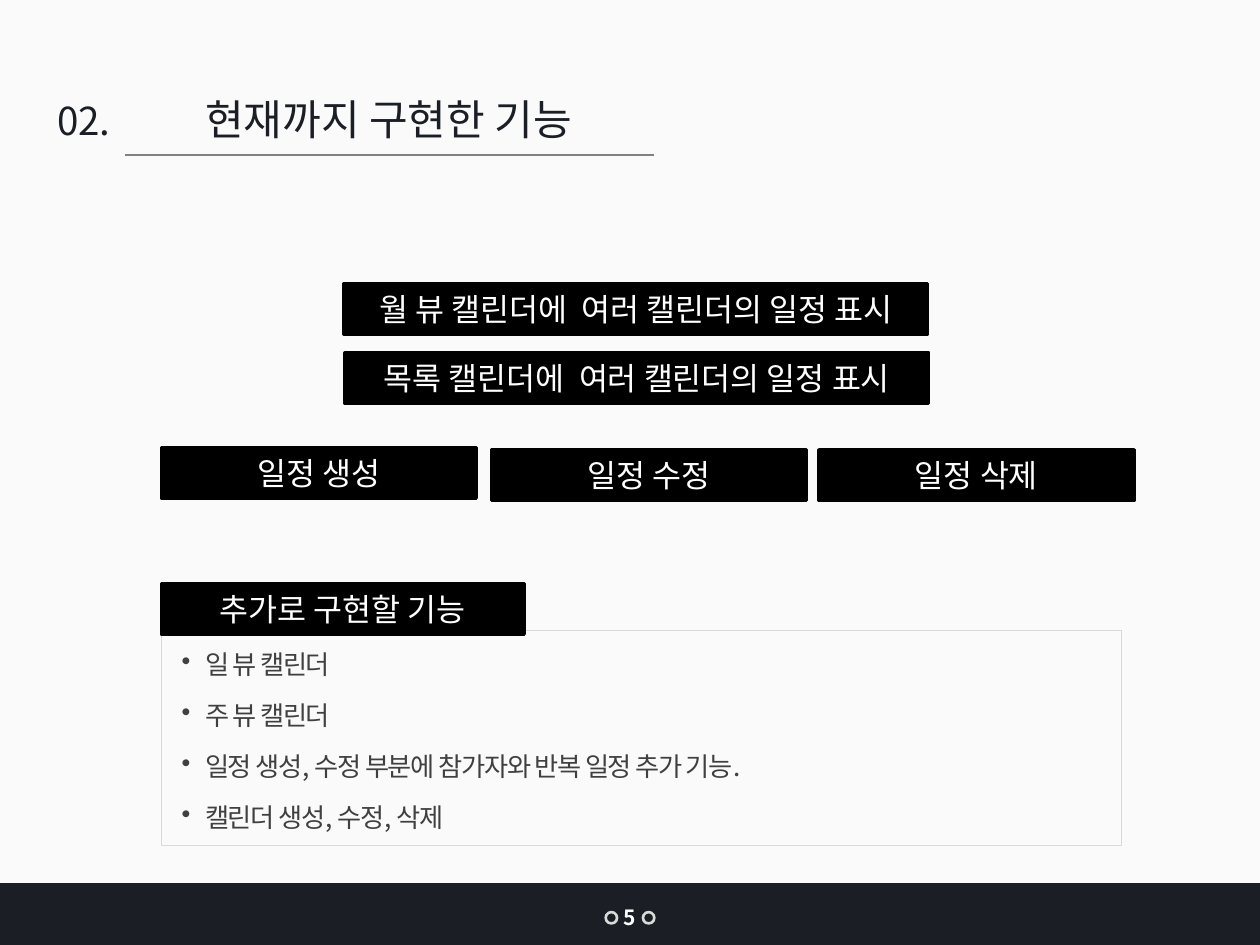
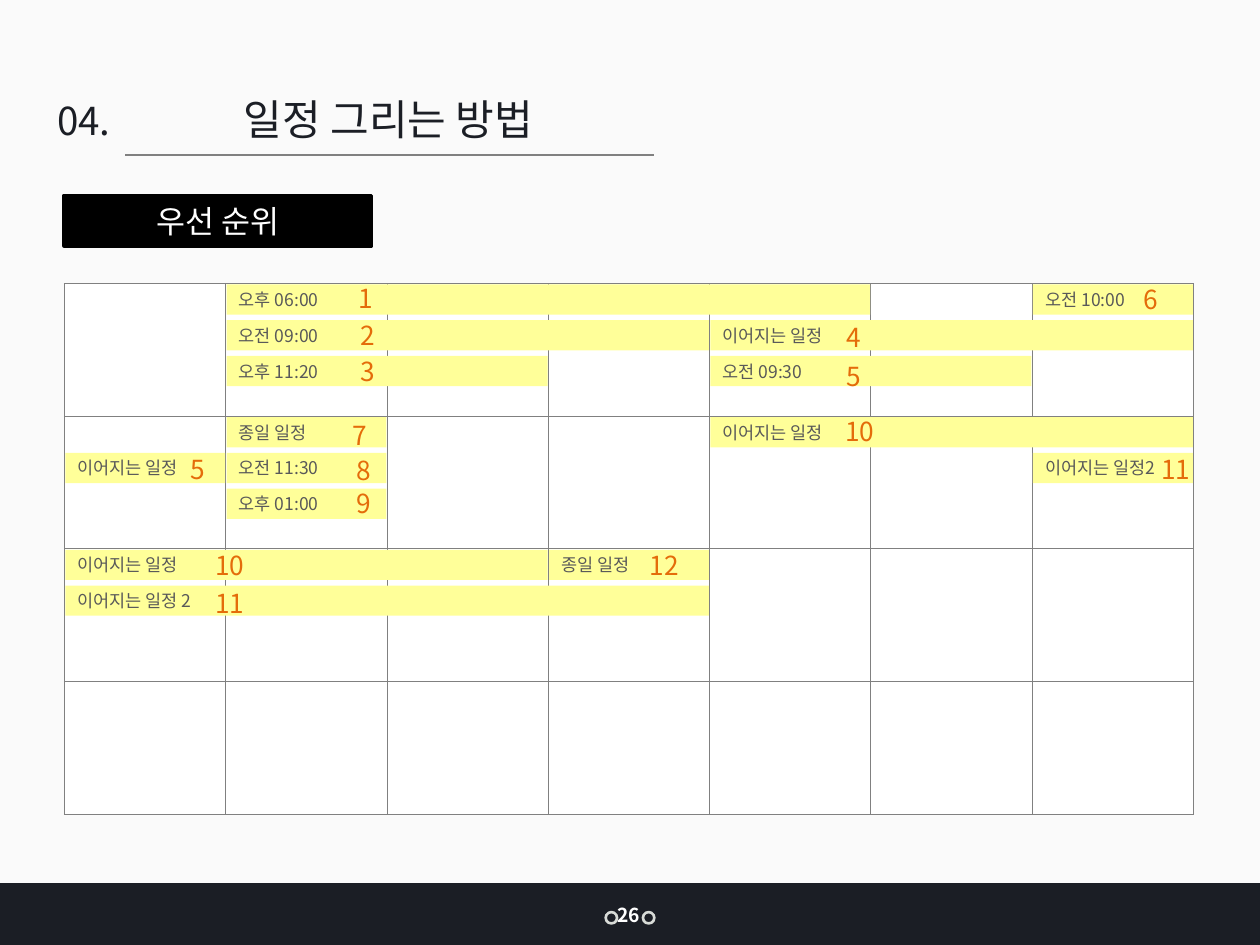
import pptx
import pptx.util
import pptx.dml.color
import pptx.enum.shapes
import pptx.enum.text
import pptx.oxml
import pptx.oxml.ns
import lxml.etree

Pt = pptx.util.Pt
RGBColor = pptx.dml.color.RGBColor
MSO_SHAPE = pptx.enum.shapes.MSO_SHAPE
PP_ALIGN = pptx.enum.text.PP_ALIGN
MSO_ANCHOR = pptx.enum.text.MSO_ANCHOR
qn = pptx.oxml.ns.qn

FONT = "Noto Sans CJK KR"
PAPER = RGBColor(0xFA, 0xFA, 0xFA)
NAVY = RGBColor(0x1B, 0x1E, 0x25)
BLACK = RGBColor(0, 0, 0)
WHITE = RGBColor(0xFF, 0xFF, 0xFF)
RING = RGBColor(0xD8, 0xDB, 0xD7)
RULE = RGBColor(0x80, 0x80, 0x80)
FRAME = RGBColor(0xD9, 0xD9, 0xD9)
BODY = RGBColor(0x40, 0x40, 0x40)
EVENT = RGBColor(0xFF, 0xFF, 0x99)
EVENT_TEXT = RGBColor(0x59, 0x59, 0x59)
ORANGE = RGBColor(0xE4, 0x6C, 0x0A)


def add_box(slide, kind, left, top, width, height, fill=None, line=None, line_width=1):
    shape = slide.shapes.add_shape(kind, Pt(left), Pt(top), Pt(width), Pt(height))
    shape.shadow.inherit = False
    if fill is None:
        shape.fill.background()
    else:
        shape.fill.solid()
        shape.fill.fore_color.rgb = fill
    if line is None:
        shape.line.fill.background()
    else:
        shape.line.color.rgb = line
        shape.line.width = Pt(line_width)
    return shape


def write_text(shape, lines, size, color, align=PP_ALIGN.LEFT, anchor=MSO_ANCHOR.TOP,
               wrap=True, grow=True, bold=False, bullet=False):
    frame = shape.text_frame
    frame.word_wrap = wrap
    frame.vertical_anchor = anchor
    if grow:
        frame.auto_size = pptx.enum.text.MSO_AUTO_SIZE.SHAPE_TO_FIT_TEXT
    frame.text = "\n".join(lines)
    for index, paragraph in enumerate(frame.paragraphs):
        paragraph.alignment = align
        properties = paragraph._p.get_or_add_pPr()
        if bullet:
            paragraph.line_spacing = 1.2
            paragraph.space_before = Pt(7.5 if index else 0)
            properties.set("marL", str(Pt(13.5)))
            properties.set("indent", str(Pt(-13.5)))
            lxml.etree.SubElement(properties, qn("a:buChar")).set("char", "•")
        paragraph.font.name = FONT
        paragraph.font.size = Pt(size)
        paragraph.font.bold = bold
        paragraph.font.color.rgb = color
        defaults = properties.find(qn("a:defRPr"))
        lxml.etree.SubElement(defaults, qn("a:ea")).set("typeface", FONT)
        if bullet:
            defaults.set("spc", "-70")


presentation = pptx.Presentation()
presentation.slide_width = Pt(720)
presentation.slide_height = Pt(540)
background = presentation.slide_master.background.fill
background.solid()
background.fore_color.rgb = PAPER

sections = [
    ("02.", "현재까지 구현한 기능", "5", 349.2, 513.4, 21.6, 12),
    ("04.", "일정 그리는 방법", "26", 345.6, 512.6, 28, 11),
]
slides = []
for number, title, page, page_left, page_top, page_width, page_size in sections:
    slide = presentation.slides.add_slide(presentation.slide_layouts[6])
    slides.append(slide)
    add_box(slide, MSO_SHAPE.RECTANGLE, 0, 504.7, 720, 35.3, NAVY)
    for ring_left in (346.1, 367.4):
        add_box(slide, MSO_SHAPE.OVAL, ring_left, 521.2, 6.5, 6.5, NAVY, RING, 1.5)
    title_box = slide.shapes.add_textbox(Pt(50.4), Pt(49.7), Pt(343.4), Pt(36))
    write_text(title_box, [title], 24, NAVY, PP_ALIGN.CENTER)
    number_box = slide.shapes.add_textbox(Pt(21.6), Pt(51.8), Pt(52.5), Pt(34))
    write_text(number_box, [number], 22, NAVY, PP_ALIGN.CENTER)
    rule = slide.shapes.add_connector(
        pptx.enum.shapes.MSO_CONNECTOR.STRAIGHT, Pt(71.5), Pt(88.6), Pt(373.5), Pt(88.6))
    rule.line.color.rgb = RULE
    rule.line.width = Pt(0.75)
    lxml.etree.SubElement(rule._element.spPr, qn("a:effectLst"))
    page_box = slide.shapes.add_textbox(Pt(page_left), Pt(page_top), Pt(page_width), Pt(21))
    write_text(page_box, [page], page_size, WHITE, wrap=False, bold=True)

features_slide, calendar_slide = slides

todo_box = add_box(features_slide, MSO_SHAPE.RECTANGLE, 92.2, 360, 548.6, 123, None, FRAME, 0.5)
todo_box.text_frame.margin_left = todo_box.text_frame.margin_right = Pt(11.5)
write_text(todo_box, [
    "일 뷰 캘린더",
    "주 뷰 캘린더",
    "일정 생성, 수정 부분에 참가자와 반복 일정 추가 기능.",
    "캘린더 생성, 수정, 삭제",
], 15, BODY, anchor=MSO_ANCHOR.MIDDLE, grow=False, bullet=True)

labels = [
    (features_slide, "월 뷰 캘린더에  여러 캘린더의 일정 표시", 196.6, 162, 333.4),
    (features_slide, "목록 캘린더에  여러 캘린더의 일정 표시", 197.3, 201.6, 333.4),
    (features_slide, "일정 생성", 92.2, 255.6, 180),
    (features_slide, "일정 수정", 280.8, 257, 180),
    (features_slide, "일정 삭제", 468, 257, 180),
    (features_slide, "추가로 구현할 기능", 92.2, 333.4, 207.4),
    (calendar_slide, "우선 순위", 36.7, 111.6, 175.7),
]
for slide, text, left, top, width in labels:
    label = add_box(slide, MSO_SHAPE.RECTANGLE, left, top, width, 29, BLACK, BLACK, 2)
    write_text(label, [text], 18, WHITE, PP_ALIGN.CENTER)

CALENDAR_LEFT, CALENDAR_TOP = 36.8, 162
DAY_WIDTH, WEEK_HEIGHT, LANE_HEIGHT = 92.16, 75.8, 20.4
calendar = calendar_slide.shapes.add_table(
    4, 7, Pt(CALENDAR_LEFT), Pt(CALENDAR_TOP), Pt(7 * DAY_WIDTH), Pt(4 * WEEK_HEIGHT)).table
calendar.first_row = False
calendar.horz_banding = False
for column in calendar.columns:
    column.width = Pt(DAY_WIDTH)
for row in calendar.rows:
    row.height = Pt(WEEK_HEIGHT)
for cell in calendar.iter_cells():
    properties = cell._tc.get_or_add_tcPr()
    for side in ("L", "R", "T", "B"):
        border = lxml.etree.SubElement(properties, qn(f"a:ln{side}"), w=str(Pt(0.5)))
        border_fill = lxml.etree.SubElement(border, qn("a:solidFill"))
        lxml.etree.SubElement(border_fill, qn("a:srgbClr"), val=str(RULE))
    cell.fill.solid()
    cell.fill.fore_color.rgb = WHITE

events = [
    (0, 0, 1, 4, "오후 06:00", "1", 198, 157.7),
    (0, 1, 1, 3, "오전 09:00", "2", 198.7, 178.6),
    (0, 2, 1, 2, "오후 11:20", "3", 198.7, 199.4),
    (0, 1, 4, 3, "이어지는 일정", "4", 476.6, 180),
    (0, 2, 4, 2, "오전 09:30", "5", 476.6, 202.3),
    (0, 0, 6, 1, "오전 10:00", "6", 646.6, 158.4),
    (1, 1, 0, 1, "이어지는 일정", "5", 101.5, 255.6),
    (1, 0, 1, 1, "종일 일정", "7", 194.4, 236.2),
    (1, 1, 1, 1, "오전 11:30", "8", 196.6, 256.3),
    (1, 2, 1, 1, "오후 01:00", "9", 196.6, 275),
    (1, 0, 4, 3, "이어지는 일정", "10", 475.9, 234),
    (1, 1, 6, 1, "이어지는 일정2", "11", 656.6, 255.6),
    (2, 0, 0, 3, "이어지는 일정", "10", 115.9, 310.3),
    (2, 1, 0, 4, "이어지는 일정 2", "11", 115.9, 331.9),
    (2, 0, 3, 1, "종일 일정", "12", 364.3, 310.3),
]
for week, lane, day, days, text, priority, priority_left, priority_top in events:
    bar = add_box(
        calendar_slide, MSO_SHAPE.RECTANGLE,
        CALENDAR_LEFT + day * DAY_WIDTH + 0.5,
        CALENDAR_TOP + week * WEEK_HEIGHT + lane * LANE_HEIGHT + 0.6,
        days * DAY_WIDTH - 0.8, 17.3, EVENT)
    write_text(bar, [text], 10, EVENT_TEXT, anchor=MSO_ANCHOR.MIDDLE, grow=False)
    priority_box = calendar_slide.shapes.add_textbox(
        Pt(priority_left), Pt(priority_top), Pt(15 + 8 * len(priority)), Pt(25.2))
    write_text(priority_box, [priority], 15, ORANGE, wrap=False)

presentation.save("out.pptx")
